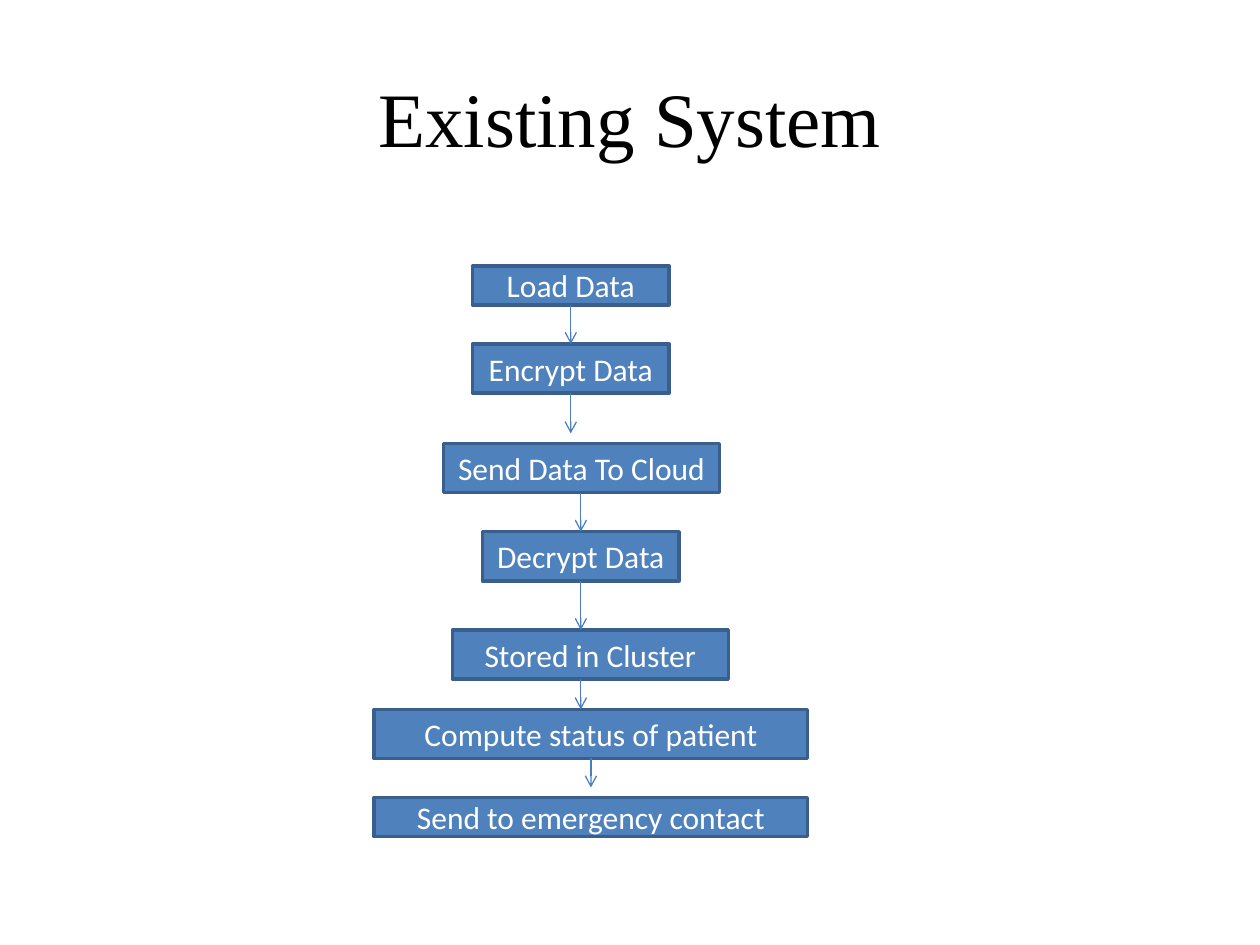
"""Build the Existing System flowchart slide."""
from lxml import etree
from pptx import Presentation
from pptx.dml.color import RGBColor
from pptx.enum.shapes import MSO_CONNECTOR, MSO_SHAPE
from pptx.enum.text import MSO_ANCHOR, PP_ALIGN
from pptx.oxml.ns import qn
from pptx.util import Inches, Pt

RECTANGLE = MSO_SHAPE.RECTANGLE
STRAIGHT = MSO_CONNECTOR.STRAIGHT
MIDDLE = MSO_ANCHOR.MIDDLE
CENTER = PP_ALIGN.CENTER

BLACK = RGBColor(0x00, 0x00, 0x00)
WHITE = RGBColor(0xFF, 0xFF, 0xFF)
BOX_FILL = RGBColor(0x4F, 0x81, 0xBD)
BOX_LINE = RGBColor(0x3A, 0x5F, 0x8C)
ARROW_LINE = RGBColor(0x4B, 0x7E, 0xBC)

TITLE = "Existing System"
NARROW, MEDIUM, WIDE = 1.56, 2.19, 3.44
LOW, TALL = 0.31, 0.39

# label, left, top, width, height
STEPS = [
    ("Load Data", 3.75, 2.11, NARROW, LOW),
    ("Encrypt Data", 3.75, 2.73, NARROW, TALL),
    ("Send Data To Cloud", 3.52, 3.52, MEDIUM, TALL),
    ("Decrypt Data", 3.83, 4.22, NARROW, TALL),
    ("Stored in Cluster", 3.59, 5, MEDIUM, TALL),
    ("Compute status of patient", 2.97, 5.63, WIDE, TALL),
    ("Send to emergency contact", 2.97, 6.33, WIDE, LOW),
]
ARROWS = [(4.53, 2.73), (4.53, 3.44), (4.61, 4.22), (4.61, 5), (4.61, 5.63), (4.69, 6.25)]


def write(shape, text, font_name, size, color):
    frame = shape.text_frame
    frame.word_wrap = True
    frame.vertical_anchor = MIDDLE
    paragraph = frame.paragraphs[0]
    paragraph.text = text
    paragraph.alignment = CENTER
    paragraph.font.name = font_name
    paragraph.font.size = Pt(size)
    paragraph.font.color.rgb = color


def add_step(slide, label, *box):
    shape = slide.shapes.add_shape(RECTANGLE, *map(Inches, box))
    shape.shadow.inherit = False
    shape.fill.solid()
    shape.fill.fore_color.rgb = BOX_FILL
    shape.line.color.rgb = BOX_LINE
    shape.line.width = Pt(2)
    write(shape, label, "Calibri", 18, WHITE)


def add_arrow(slide, x, start, end):
    connector = slide.shapes.add_connector(
        STRAIGHT, Inches(x), Inches(start), Inches(x), Inches(end))
    connector.line.color.rgb = ARROW_LINE
    connector.line.width = Pt(0.75)
    properties = connector._element.spPr
    etree.SubElement(properties.find(qn("a:ln")), qn("a:tailEnd"), type="arrow")
    etree.SubElement(properties, qn("a:effectLst"))


presentation = Presentation()
presentation.slide_width = Inches(10)
presentation.slide_height = Inches(7.5)
slide = presentation.slides.add_slide(presentation.slide_layouts[6])

title = slide.shapes.add_textbox(Inches(0.5), Inches(0.3), Inches(9), Inches(1.25))
write(title, TITLE, "Times New Roman", 44, BLACK)

for step in STEPS:
    add_step(slide, *step)
for (label, left, top, width, height), (x, end) in zip(STEPS, ARROWS):
    add_arrow(slide, x, top + height, end)

presentation.save("out.pptx")
